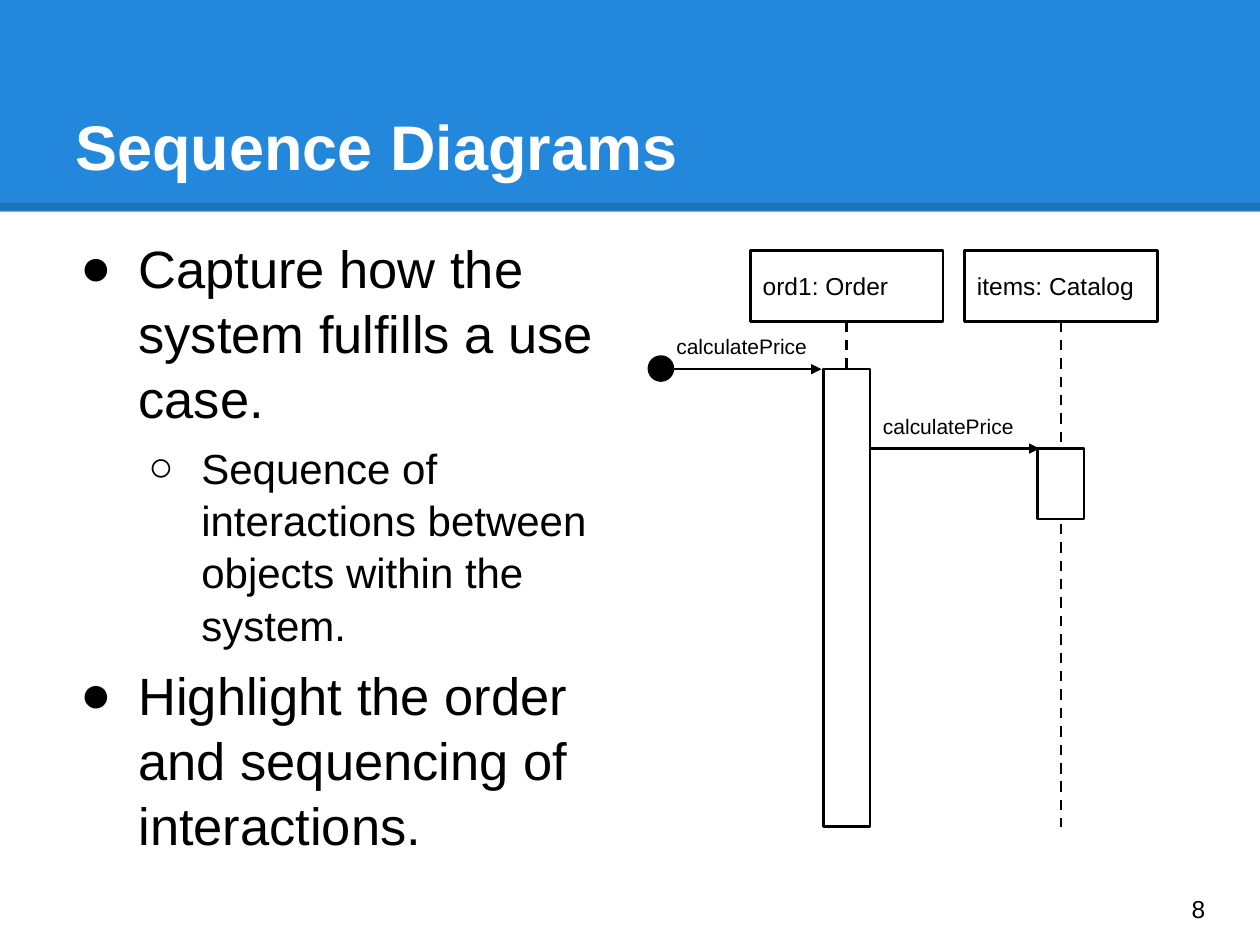
"""Build a slide that introduces sequence diagrams."""
from dataclasses import dataclass

from lxml import etree
from pptx import Presentation, util as u
from pptx.dml.color import RGBColor
from pptx.enum import dml, shapes, text
from pptx.oxml import ns


@dataclass(frozen=True)
class Theme:
    font: str = "Arial"
    black: str = "000000"
    white: str = "FFFFFF"
    banner: str = "2388DB"
    title: int = 36
    bullets: tuple = (30, 24)
    label: int = 14
    message: int = 12
    stroke: float = 1.5
    inset: float = 0.1


class SlideBuilder:
    def __init__(self, slide, theme):
        self.slide = slide
        self.theme = theme

    def add_run(self, paragraph, words, size, color=None, bold=False):
        run = paragraph.add_run()
        run.text = words
        run.font.name = self.theme.font
        run.font.size = u.Pt(size)
        run.font.bold = bold
        run.font.color.rgb = RGBColor.from_string(color or self.theme.black)

    def set_frame(self, shape, anchor):
        frame = shape.text_frame
        frame.word_wrap = True
        frame.vertical_anchor = anchor
        inset = u.Inches(self.theme.inset)
        frame.margin_left = frame.margin_right = inset
        frame.margin_top = frame.margin_bottom = inset
        return frame

    def text_box(self, box, words, size, anchor=text.MSO_ANCHOR.TOP, **style):
        shape = self.slide.shapes.add_textbox(*map(u.Inches, box))
        frame = self.set_frame(shape, anchor)
        self.add_run(frame.paragraphs[0], words, size, **style)

    def bullet_list(self, box, items):
        shape = self.slide.shapes.add_textbox(*map(u.Inches, box))
        frame = self.set_frame(shape, text.MSO_ANCHOR.TOP)
        for index, (level, words) in enumerate(items):
            paragraph = frame.add_paragraph() if index else frame.paragraphs[0]
            paragraph.level = level
            paragraph.line_spacing = 1.04
            paragraph.space_before = u.Pt(6 if index else 0)
            properties = paragraph._p.get_or_add_pPr()
            properties.set("marL", str(u.Inches((0.5, 1)[level])))
            properties.set("indent", str(u.Inches((-0.46, -0.42)[level])))
            color = etree.SubElement(properties, ns.qn("a:buClr"))
            etree.SubElement(color, ns.qn("a:srgbClr"), val=self.theme.black)
            etree.SubElement(properties, ns.qn("a:buFont"), typeface=self.theme.font)
            etree.SubElement(properties, ns.qn("a:buChar"), char="●○"[level])
            self.add_run(paragraph, words, self.theme.bullets[level])

    def shape(self, box, fill=None, kind=shapes.MSO_SHAPE.RECTANGLE, outlined=True, words=None):
        shape = self.slide.shapes.add_shape(kind, *map(u.Inches, box))
        shape.shadow.inherit = False
        shape.fill.solid()
        shape.fill.fore_color.rgb = RGBColor.from_string(fill or self.theme.white)
        if outlined:
            shape.line.color.rgb = RGBColor.from_string(self.theme.black)
            shape.line.width = u.Pt(self.theme.stroke)
        else:
            shape.line.fill.background()
        if words:
            paragraph = self.set_frame(shape, text.MSO_ANCHOR.MIDDLE).paragraphs[0]
            paragraph.alignment = text.PP_ALIGN.LEFT
            self.add_run(paragraph, words, self.theme.label)

    def line(self, start, end, width=None, dashed=False, arrow=False, opacity=None):
        connector = self.slide.shapes.add_connector(
            shapes.MSO_CONNECTOR.STRAIGHT, *map(u.Inches, (*start, *end)))
        line = connector.line
        line.color.rgb = RGBColor.from_string(self.theme.black)
        line.width = u.Pt(width or self.theme.stroke)
        if dashed:
            line.dash_style = dml.MSO_LINE.DASH
        properties = connector._element.spPr
        outline = properties.find(ns.qn("a:ln"))
        if arrow:
            etree.SubElement(outline, ns.qn("a:tailEnd"), type="triangle")
        if opacity:
            color = outline.find(".//" + ns.qn("a:srgbClr"))
            etree.SubElement(color, ns.qn("a:alpha"), val=str(opacity * 1000))
        etree.SubElement(properties, ns.qn("a:effectLst"))

    def message(self, start_x, end_x, y, label_x):
        self.line((start_x, y), (end_x, y), arrow=True)
        self.text_box((label_x, y - 0.38, 1.33, 0.34), "calculatePrice", self.theme.message)


def main():
    theme = Theme()
    presentation = Presentation()
    presentation.slide_width = u.Inches(10)
    presentation.slide_height = u.Inches(7.5)
    slide = presentation.slides.add_slide(presentation.slide_layouts[6])
    builder = SlideBuilder(slide, theme)

    builder.shape((0, 0, 10, 1.68), theme.banner, outlined=False)
    builder.line((0, 1.64), (10, 1.64), width=4.5, opacity=15)
    builder.text_box((0.5, 0.3, 9, 1.25), "Sequence Diagrams", theme.title,
                     text.MSO_ANCHOR.BOTTOM, color=theme.white, bold=True)
    builder.bullet_list((0.5, 1.75, 4.37, 5.43), [
        (0, "Capture how the system fulfills a use case."),
        (1, "Sequence of interactions between objects within the system."),
        (0, "Highlight the order and sequencing of interactions."),
    ])

    top, width, height, bottom = 1.99, 1.53, 0.56, 6.56
    bar_width, order_y, catalog_y = 0.37, 2.93, 3.56
    participants = [
        (6.72, "ord1: Order", order_y, bottom - order_y),
        (8.42, "items: Catalog", catalog_y, height),
    ]
    for center, name, bar_top, bar_height in participants:
        builder.shape((center - width / 2, top, width, height), words=name)
        builder.line((center, top + height), (center, bottom), dashed=True)
        builder.shape((center - bar_width / 2, bar_top, bar_width, bar_height))

    builder.shape((5.15, 2.83, 0.19, 0.19), theme.black, shapes.MSO_SHAPE.OVAL)
    builder.message(5.34, 6.52, order_y, 5.27)
    builder.message(6.9, 8.25, catalog_y, 6.91)
    builder.text_box((9.36, 6.93, 0.6, 0.57), "8", theme.label, text.MSO_ANCHOR.MIDDLE)
    presentation.save("out.pptx")


if __name__ == "__main__":
    main()
